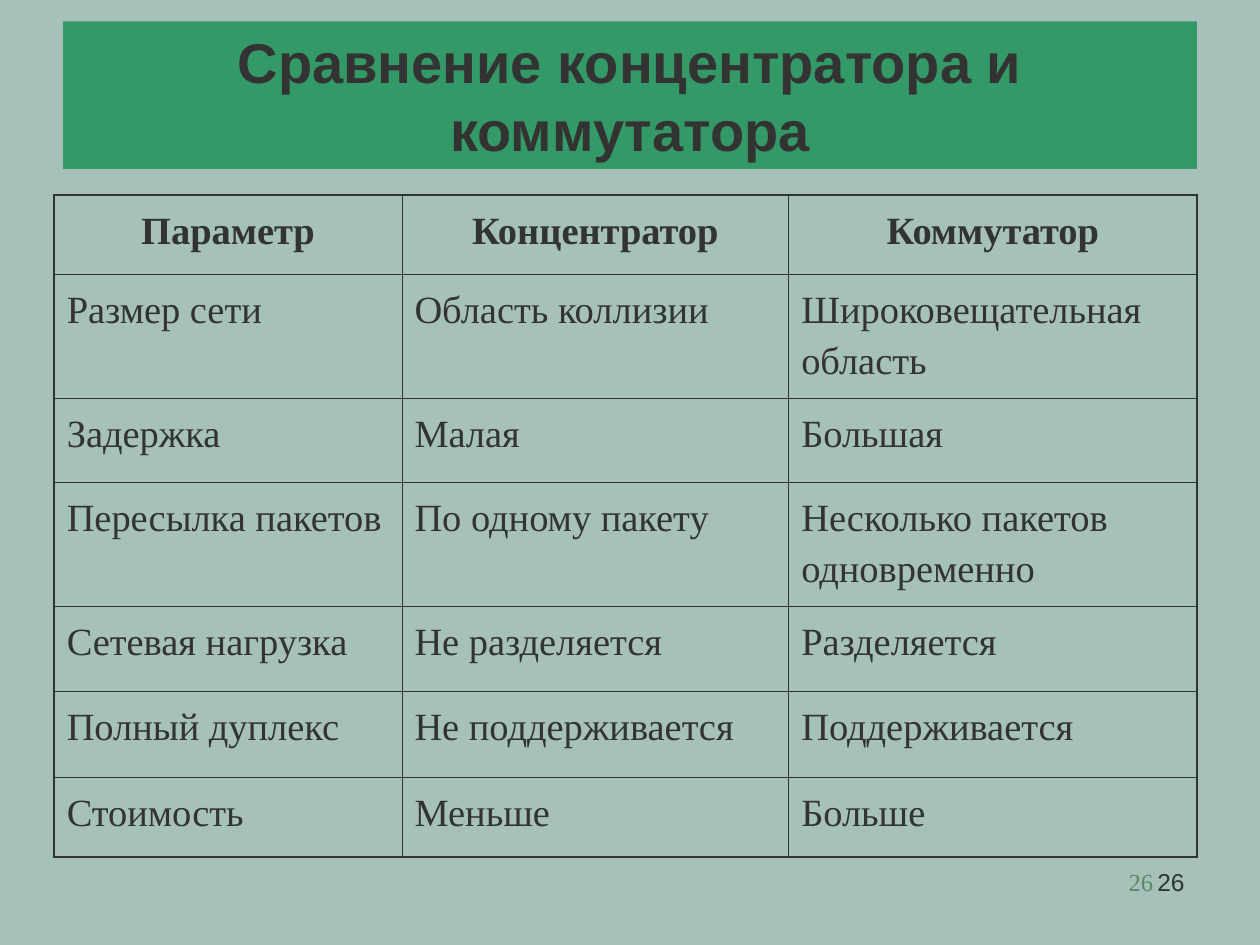
from pptx import Presentation
from pptx.dml.color import RGBColor
from pptx.enum.text import MSO_ANCHOR, MSO_AUTO_SIZE, PP_ALIGN
from pptx.oxml.ns import qn
from pptx.util import Inches, Pt
from lxml import etree

CENTER, LEFT, RIGHT = PP_ALIGN.CENTER, PP_ALIGN.LEFT, PP_ALIGN.RIGHT
MIDDLE = MSO_ANCHOR.MIDDLE
NO_AUTOFIT = MSO_AUTO_SIZE.NONE
TITLE_ONLY = 5

SANS, SERIF = "Arial", "Times New Roman"
INK, GREEN, SAGE, PALE_GREEN = "333333", "339966", "A5C1BA", "578963"
OUTER_LINE, INNER_LINE = 1.08, 0.45

COLUMN_WIDTHS = [2.76, 3.07, 3.24]
ROW_HEIGHTS = [0.63, 0.98, 0.67, 0.98, 0.68, 0.68, 0.63]
COMPARISON = [
    ("Параметр", "Концентратор", "Коммутатор"),
    ("Размер сети", "Область коллизии", "Широковещательная область"),
    ("Задержка", "Малая", "Большая"),
    ("Пересылка пакетов", "По одному пакету", "Несколько пакетов одновременно"),
    ("Сетевая нагрузка", "Не разделяется", "Разделяется"),
    ("Полный дуплекс", "Не поддерживается", "Поддерживается"),
    ("Стоимость", "Меньше", "Больше"),
]


def color(value):
    return RGBColor.from_string(value)


class SlideBuilder:
    def __init__(self, slide, background):
        self.slide = slide
        fill = slide.background.fill
        fill.solid()
        fill.fore_color.rgb = color(background)

    def style(self, paragraph, size, font_name, ink=INK, bold=False, align=LEFT):
        paragraph.alignment = align
        font = paragraph.font
        font.size, font.name, font.bold = Pt(size), font_name, bold
        font.color.rgb = color(ink)

    def title(self, text, left, top, width, height):
        shape = self.slide.shapes.title
        shape.left, shape.top = Inches(left), Inches(top)
        shape.width, shape.height = Inches(width), Inches(height)
        shape.fill.solid()
        shape.fill.fore_color.rgb = color(GREEN)
        frame = shape.text_frame
        frame.text = text
        frame.auto_size = NO_AUTOFIT
        frame.vertical_anchor = MIDDLE
        self.style(frame.paragraphs[0], 32, SANS, bold=True, align=CENTER)

    def page_number(self, text, left, top, width, height, font_name, ink):
        box = self.slide.shapes.add_textbox(
            Inches(left), Inches(top), Inches(width), Inches(height))
        frame = box.text_frame
        frame.word_wrap = True
        frame.text = text
        self.style(frame.paragraphs[0], 14, font_name, ink, align=RIGHT)

    def border(self, cell, side, width):
        line = etree.SubElement(cell._tc.get_or_add_tcPr(), qn(f"a:ln{side}"),
                                w=str(int(Pt(width))))
        fill = etree.SubElement(line, qn("a:solidFill"))
        etree.SubElement(fill, qn("a:srgbClr"), val=INK)

    def table(self, rows, left, top, column_widths, row_heights):
        last_row, last_column = len(rows) - 1, len(column_widths) - 1
        table = self.slide.shapes.add_table(
            len(rows), len(column_widths), Inches(left), Inches(top),
            Inches(sum(column_widths)), Inches(sum(row_heights))).table
        table.first_row = table.horz_banding = False
        for column, width in zip(table.columns, column_widths):
            column.width = Inches(width)
        for row, height in zip(table.rows, row_heights):
            row.height = Inches(height)
        for r, texts in enumerate(rows):
            for c, text in enumerate(texts):
                cell = table.cell(r, c)
                cell.text = text
                paragraph = cell.text_frame.paragraphs[0]
                paragraph.line_spacing = 1.2
                self.style(paragraph, 22, SERIF, bold=r == 0,
                           align=CENTER if r == 0 else LEFT)
                on_edge = {"L": c == 0, "R": c == last_column,
                           "T": r == 0, "B": r == last_row}
                for side, outer in on_edge.items():
                    self.border(cell, side, OUTER_LINE if outer else INNER_LINE)
                cell.fill.background()


def main():
    presentation = Presentation()
    presentation.slide_width, presentation.slide_height = Inches(10), Inches(7.5)
    slide = presentation.slides.add_slide(presentation.slide_layouts[TITLE_ONLY])
    builder = SlideBuilder(slide, SAGE)
    builder.page_number("26", 7.17, 6.83, 2.33, 0.52, SANS, INK)
    builder.title("Сравнение концентратора и коммутатора", 0.5, 0.17, 9, 1.17)
    builder.table(COMPARISON, 0.43, 1.55, COLUMN_WIDTHS, ROW_HEIGHTS)
    builder.page_number("26", 7.17, 6.83, 2.08, 0.5, SERIF, PALE_GREEN)
    presentation.save("out.pptx")


if __name__ == "__main__":
    main()
